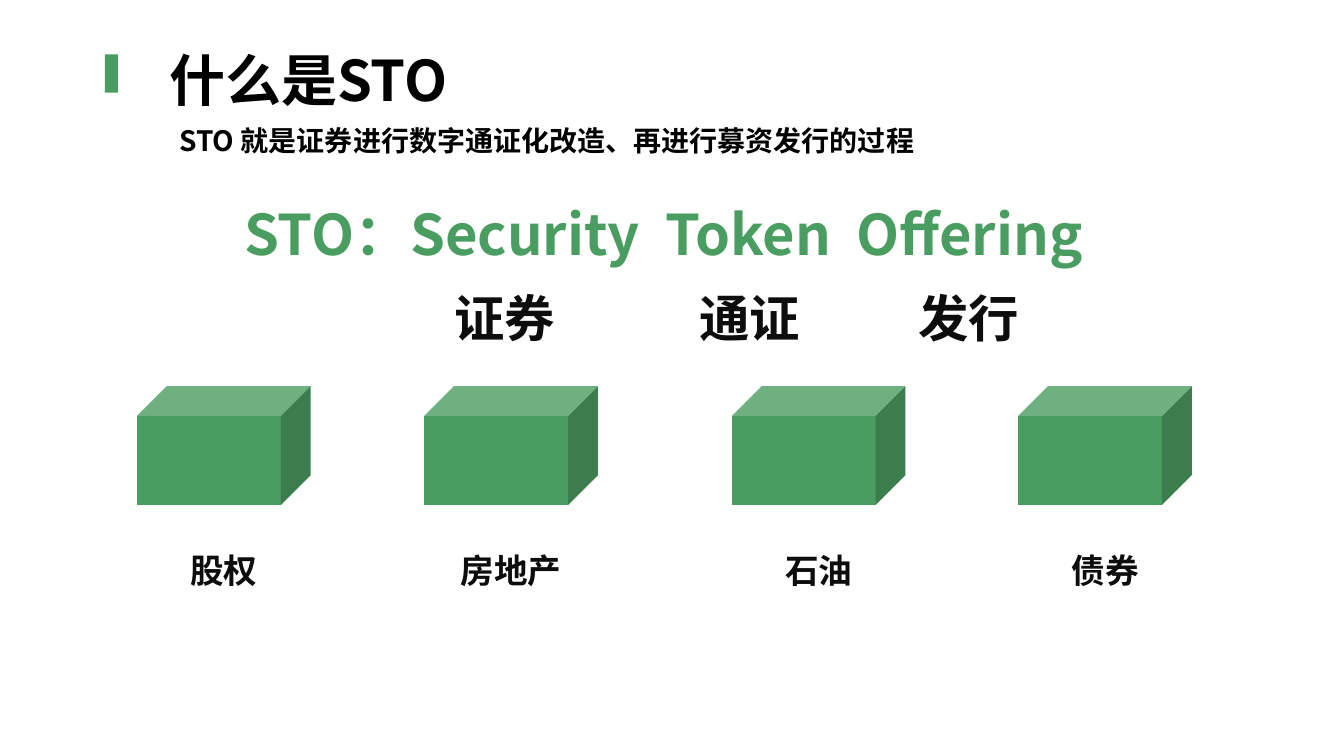
from lxml import etree
from pptx import Presentation
from pptx import util as u
from pptx.dml.color import RGBColor
from pptx.enum import shapes, text
from pptx.oxml.ns import qn

FONT = "Noto Sans CJK SC"
GREEN, BLACK, INK = "4A9D61", "000000", "0D0D0D"
TITLE = "什么是STO"
LEAD = "STO 就是证券进行数字通证化改造、再进行募资发行的过程"
TERM = "STO：Security  Token  Offering"
WORDS = [("证券", 4.41), ("通证", 6.84), ("发行", 9.01)]
ASSETS = [("股权", 1.36), ("房地产", 4.21), ("石油", 7.26), ("债券", 10.1)]
CUBE_W, LABEL_W = 1.72, 3.55

LEFT, MID = text.PP_ALIGN.LEFT, text.PP_ALIGN.CENTER
FIT, FIXED = text.MSO_AUTO_SIZE.SHAPE_TO_FIT_TEXT, text.MSO_AUTO_SIZE.NONE


def color(code):
    return RGBColor.from_string(code)


def place(box, *area):
    box.left, box.top, box.width, box.height = map(u.Inches, area)


def write(box, words, size, code, align=LEFT, gap=1.0, fit=FIT, wrap=True):
    frame = box.text_frame
    frame.text = words
    frame.word_wrap = wrap
    frame.auto_size = fit
    para = frame.paragraphs[0]
    para.alignment = align
    para.line_spacing = gap
    font = para.font
    font.size, font.bold, font.name = u.Pt(size), True, FONT
    font.color.rgb = color(code)
    props = para._p.pPr.find(qn("a:defRPr"))
    etree.SubElement(props, qn("a:ea")).set("typeface", FONT)


def label(slide, area, *args, **opts):
    box = slide.shapes.add_textbox(*map(u.Inches, area))
    write(box, *args, **opts)


def solid(slide, kind, *area):
    shape = slide.shapes.add_shape(kind, *map(u.Inches, area))
    shape.shadow.inherit = False
    shape.fill.solid()
    shape.fill.fore_color.rgb = color(GREEN)
    shape.line.fill.background()


def main():
    deck = Presentation()
    deck.slide_width, deck.slide_height = u.Inches(13.33), u.Inches(7.5)
    slide = deck.slides.add_slide(deck.slide_layouts[5])
    title = slide.shapes.title
    place(title, 1.58, 0.1, 11.38, 1.45)
    write(title, TITLE, 40, BLACK, gap=0.9, fit=FIXED)
    title.text_frame.vertical_anchor = text.MSO_ANCHOR.MIDDLE

    solid(slide, shapes.MSO_SHAPE.RECTANGLE, 1.04, 0.54, 0.13, 0.38)
    label(slide, (1.68, 1.18, 10.41, 0.44), LEAD, 20, BLACK)
    label(slide, (1.29, 1.6, 10.58, 1.01), TERM, 40, GREEN, MID, 1.5)
    for word, left in WORDS:
        label(slide, (left, 2.8, 1.2, 0.71), word, 36, INK, wrap=False)
    for name, left in ASSETS:
        solid(slide, shapes.MSO_SHAPE.CUBE, left, 3.83, CUBE_W, 1.18)
        start = left + (CUBE_W - LABEL_W) / 2
        label(slide, (start, 5.21, LABEL_W, 0.65), name, 24, INK, MID, 1.5)
    deck.save("out.pptx")


if __name__ == "__main__":
    main()
